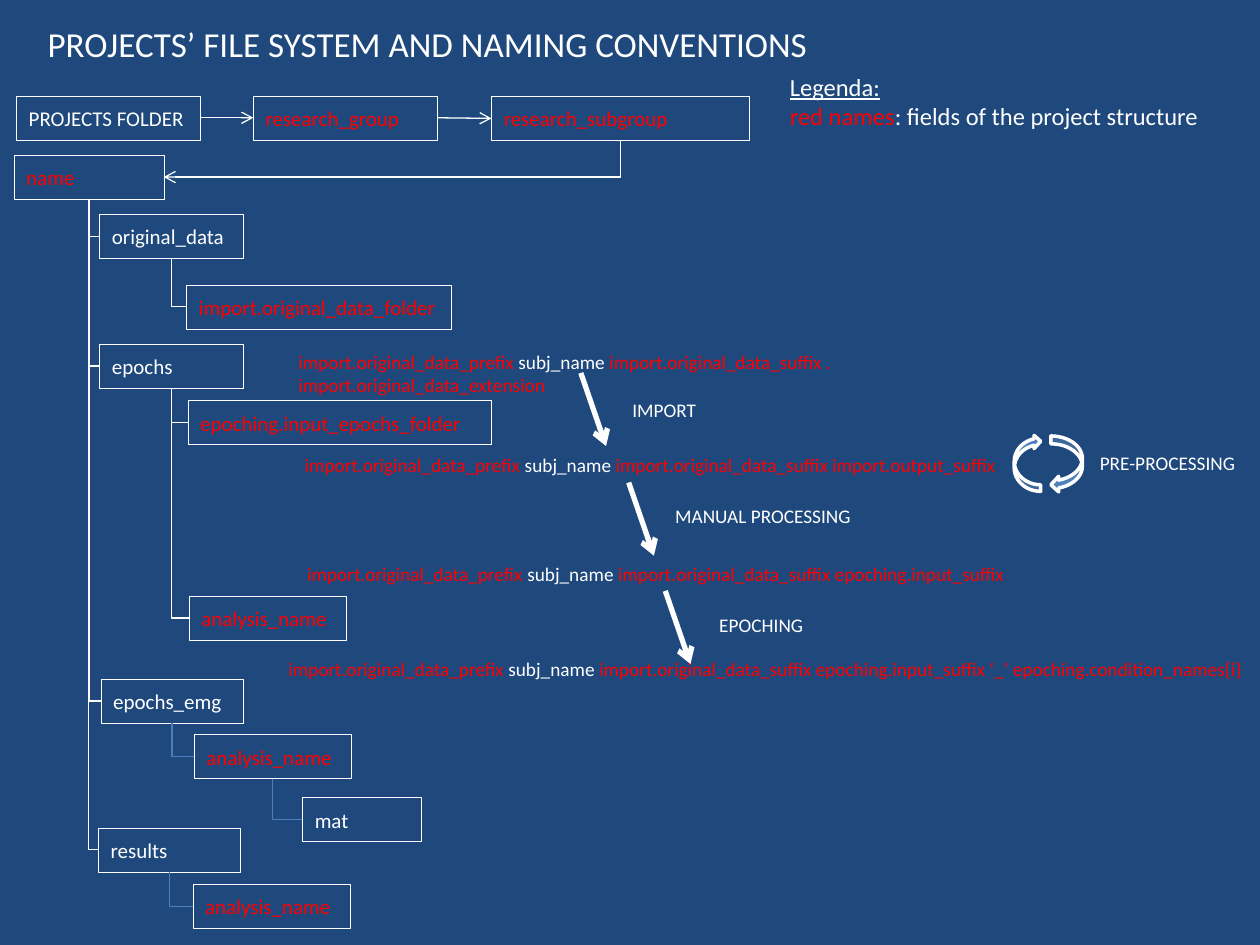
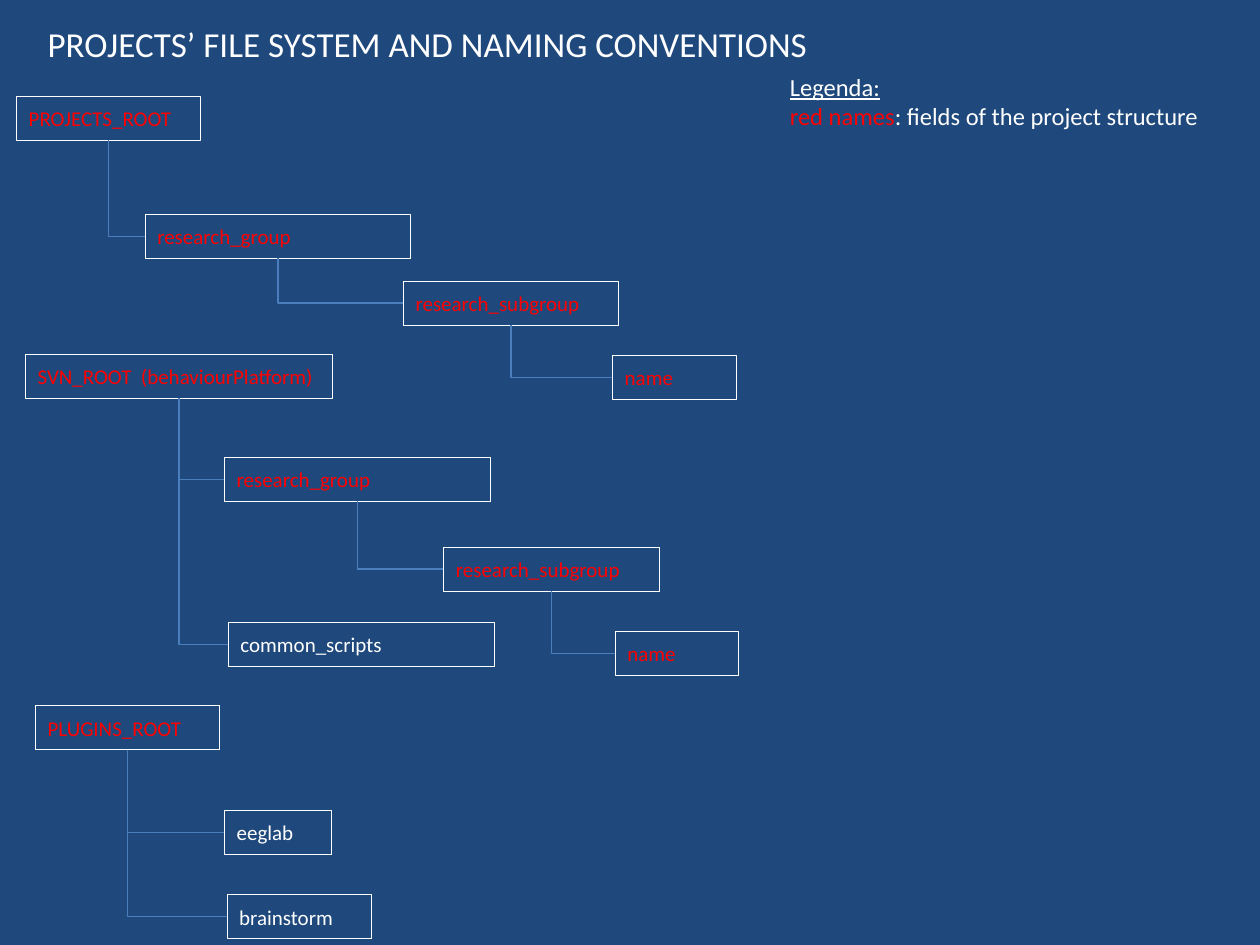
from lxml.etree import SubElement
from pptx import Presentation
from pptx.dml.color import RGBColor
from pptx.enum.shapes import MSO_CONNECTOR as LINK, MSO_SHAPE as SHAPE
from pptx.enum.text import MSO_ANCHOR as ANCHOR, MSO_AUTO_SIZE as AUTO, PP_ALIGN as ALIGN
from pptx.oxml.ns import qn
from pptx.util import Inches, Pt

NAVY = RGBColor(0x1F, 0x49, 0x7D)
WHITE = RGBColor(0xFF, 0xFF, 0xFF)
RED = RGBColor(0xFF, 0x00, 0x00)
BLUE = RGBColor(0x4B, 0x7E, 0xBC)
ARROW_BLUE = RGBColor(0x4F, 0x81, 0xBD)

WIDTH, HEIGHT = Inches(10), Inches(7.5)
COLS, ROWS = 100, 75
BOX_ROWS = 3.5
LEFT, BOTTOM, RIGHT = 1, 2, 3

TITLE = "PROJECTS’ FILE SYSTEM AND NAMING CONVENTIONS"
PREFIX, SUFFIX = "import.original_data_prefix ", " import.original_data_suffix "

# Each folder: key, text, colour, column, row, columns wide, parent, branch colour
PROJECT_TREE = [
    ("root", "PROJECTS FOLDER", WHITE, 1.3, 7.6, 14.6, None, None),
    ("group", "research_group", RED, 20.1, 7.6, 14.6, None, None),
    ("subgroup", "research_subgroup", RED, 39, 7.65, 20.5, None, None),
    ("name", "name", RED, 1.1, 12.3, 11.9, None, None),
    ("original", "original_data", WHITE, 7.9, 17, 11.4, "name", WHITE),
    ("import", "import.original_data_folder", RED, 14.8, 22.6, 21, "original", WHITE),
    ("epochs", "epochs", WHITE, 7.9, 27.3, 11.4, "name", WHITE),
    ("input", "epoching.input_epochs_folder", RED, 14.9, 31.8, 24.1, "epochs", WHITE),
    ("analysis", "analysis_name", RED, 15, 47.3, 12.5, "epochs", WHITE),
    ("emg", "epochs_emg", WHITE, 8, 53.9, 11.3, "name", WHITE),
    ("emg_analysis", "analysis_name", RED, 15.4, 58.3, 12.5, "emg", BLUE),
    ("mat", "mat", WHITE, 24, 63.3, 9.4, "emg_analysis", BLUE),
    ("results", "results", WHITE, 7.8, 65.7, 11.3, "name", WHITE),
    ("results_analysis", "analysis_name", RED, 15.3, 70.2, 12.5, "results", BLUE),
]
ROOT_TREES = [
    ("projects", "PROJECTS_ROOT", RED, 1.3, 7.6, 14.6, None, None),
    ("group", "research_group", RED, 11.5, 17, 21.1, "projects", BLUE),
    ("subgroup", "research_subgroup", RED, 32, 22.3, 17.1, "group", BLUE),
    ("name", "name", RED, 48.6, 28.2, 9.8, "subgroup", BLUE),
    ("svn", "SVN_ROOT  (behaviourPlatform)", RED, 2, 28.1, 24.4, None, None),
    ("svn_group", "research_group", RED, 17.8, 36.3, 21.1, "svn", BLUE),
    ("svn_subgroup", "research_subgroup", RED, 35.2, 43.4, 17.1, "svn_group", BLUE),
    ("svn_name", "name", RED, 48.8, 50.1, 9.8, "svn_subgroup", BLUE),
    ("scripts", "common_scripts", WHITE, 18.1, 49.4, 21.1, "svn", BLUE),
    ("plugins", "PLUGINS_ROOT", RED, 2.8, 56, 14.6, None, None),
    ("eeglab", "eeglab", WHITE, 17.8, 64.3, 8.5, "plugins", BLUE),
    ("brainstorm", "brainstorm", WHITE, 18, 71, 11.5, "plugins", BLUE),
]
FILE_NAMES = [
    (22.7, 27.3, 64.5, ".  import.original_data_extension"),
    (23.2, 35.5, 58.1, "import.output_suffix"),
    (23.4, 44.1, 58.1, "epoching.input_suffix"),
    (21.9, 51.7, 80.2, "epoching.input_suffix ‘_’ epoching.condition_names{i}"),
]
STEPS = [
    ("IMPORT", 49.2, 31.1, 7.8),
    ("MANUAL PROCESSING", 52.6, 39.5, 16.8),
    ("PRE-PROCESSING", 86.3, 35.3, 13.9),
    ("EPOCHING", 56.1, 48.2, 8.9),
]
STEP_ARROWS = [(46.1, 29.6), (49.9, 38.3), (52.8, 46.9)]
CYCLE_ARROWS = [(83.4, 34.6, 2.5, False), (80.5, 34.5, 2.1, True)]


def x(col):
    """Turn grid columns into a length."""
    return int(WIDTH * col / COLS)


def y(row):
    """Turn grid rows into a length."""
    return int(HEIGHT * row / ROWS)


def assign(target, **values):
    """Set several attributes of an object."""
    for key, value in values.items():
        setattr(target, key, value)


def write(paragraph, text, colour, size, underline=None):
    """Append one coloured run."""
    run = paragraph.add_run()
    run.text = text
    assign(run.font, name="Calibri", size=Pt(size), underline=underline)
    run.font.color.rgb = colour


def outline(item, colour, width):
    """Colour and weigh a line."""
    item.line.color.rgb = colour
    item.line.width = Pt(width)


def add_text(slide, col, row, cols, rows, lines, size):
    """Place wrapped text whose lines are lists of runs."""
    frame = slide.shapes.add_textbox(x(col), y(row), x(cols), y(rows)).text_frame
    assign(frame, word_wrap=True, auto_size=AUTO.SHAPE_TO_FIT_TEXT)
    for number, runs in enumerate(lines):
        paragraph = frame.add_paragraph() if number else frame.paragraphs[0]
        for run in runs:
            write(paragraph, *run[:2], size, *run[2:])


def add_folder(slide, text, colour, col, row, cols):
    """Draw an outlined folder box."""
    folder = slide.shapes.add_shape(SHAPE.RECTANGLE, x(col), y(row), x(cols), y(BOX_ROWS))
    folder.shadow.inherit = False
    folder.fill.background()
    outline(folder, WHITE, 0.25)
    assign(folder.text_frame, word_wrap=True, vertical_anchor=ANCHOR.MIDDLE)
    paragraph = folder.text_frame.paragraphs[0]
    paragraph.alignment = ALIGN.LEFT
    write(paragraph, text, colour, 12)
    return folder


def finish_link(link, colour, width, arrow):
    """Style a connector, without shadow, with an optional arrowhead."""
    outline(link, colour, width)
    if arrow:
        SubElement(link.line._get_or_add_ln(), qn("a:tailEnd"), type="arrow")
    SubElement(link._element.spPr, qn("a:effectLst"))


def add_arrow(slide, start, end, width):
    """Draw a straight white arrow between two points."""
    arrow = slide.shapes.add_connector(LINK.STRAIGHT, *start, *end)
    finish_link(arrow, WHITE, width, True)
    return arrow


def chain(slide, source, target):
    """Point from one folder to the next on its right."""
    middle = source.top + source.height // 2
    arrow = add_arrow(slide, (source.left + source.width, middle), (target.left, middle), 0.75)
    arrow.begin_connect(source, RIGHT)
    arrow.end_connect(target, LEFT)


def add_branch(slide, parent, child, colour, arrow=False):
    """Bend a line from below the parent to the near side of the child."""
    start_x, start_y = parent.left + parent.width // 2, parent.top + parent.height
    rightward = child.left > start_x
    end_x = child.left if rightward else child.left + child.width
    end_y = child.top + child.height // 2
    branch = slide.shapes.add_connector(LINK.ELBOW, start_x, start_y, end_x, end_y)
    branch.begin_connect(parent, BOTTOM)
    branch.end_connect(child, LEFT if rightward else RIGHT)
    drop, reach = end_y - start_y, abs(end_x - start_x)
    assign(branch, width=drop, height=reach,
           left=(start_x + end_x - drop) // 2, top=(start_y + end_y - reach) // 2)
    properties = branch._element.spPr
    turn = properties.find(qn("a:xfrm"))
    for flip in ("flipH", "flipV"):
        turn.attrib.pop(flip, None)
    turn.set("rot", str((270 if rightward else 90) * 60000))
    if rightward:
        turn.set("flipH", "1")
    properties.find(qn("a:prstGeom")).set("prst", "bentConnector2")
    finish_link(branch, colour, 0.75, arrow)


def add_tree(slide, tree):
    """Draw folders and the branches to their parents."""
    folders = {}
    for key, text, colour, col, row, cols, parent, branch_colour in tree:
        folders[key] = add_folder(slide, text, colour, col, row, cols)
        if parent:
            add_branch(slide, folders[parent], folders[key], branch_colour)
    return folders


def add_cycle_arrow(slide, col, row, cols, flipped):
    """Draw one half of the pre-processing cycle."""
    half = slide.shapes.add_shape(SHAPE.CURVED_LEFT_ARROW, x(col), y(row), x(cols), y(4.5))
    half.shadow.inherit = False
    half.fill.solid()
    half.fill.fore_color.rgb = ARROW_BLUE
    outline(half, WHITE, 2)
    if flipped:
        for flip in ("flipH", "flipV"):
            half._element.spPr.find(qn("a:xfrm")).set(flip, "1")


def add_page(deck):
    """Start a slide with the title and legend."""
    slide = deck.slides.add_slide(deck.slide_layouts[6])
    add_text(slide, 2.8, 1.3, 92.1, 4.4, [[(TITLE, WHITE)]], 20)
    add_text(slide, 61.7, 5.2, 37, 5.7, [
        [("Legenda:", WHITE, True)],
        [("red names", RED), (": fields of the project structure", WHITE)],
    ], 14)
    return slide


def add_workflow(slide):
    """Draw the file names and the steps between them."""
    for col, row, cols, ending in FILE_NAMES:
        name = [(PREFIX, RED), ("subj_name", WHITE), (SUFFIX + ending, RED)]
        add_text(slide, col, row, cols, 2.9, [name], 11)
    for step, col, row, cols in STEPS:
        add_text(slide, col, row, cols, 2.9, [[(step, WHITE)]], 11)
    for col, row in STEP_ARROWS:
        add_arrow(slide, (x(col), y(row)), (x(col + 2), y(row + 5.8)), 3)
    for half in CYCLE_ARROWS:
        add_cycle_arrow(slide, *half)


def main():
    """Build both slides and save them."""
    deck = Presentation()
    assign(deck, slide_width=WIDTH, slide_height=HEIGHT)
    backdrop = deck.slide_master.background.fill
    backdrop.solid()
    backdrop.fore_color.rgb = NAVY

    project = add_page(deck)
    folders = add_tree(project, PROJECT_TREE)
    chain(project, folders["root"], folders["group"])
    chain(project, folders["group"], folders["subgroup"])
    add_branch(project, folders["subgroup"], folders["name"], WHITE, arrow=True)
    add_workflow(project)

    add_tree(add_page(deck), ROOT_TREES)
    deck.save("out.pptx")


if __name__ == "__main__":
    main()
